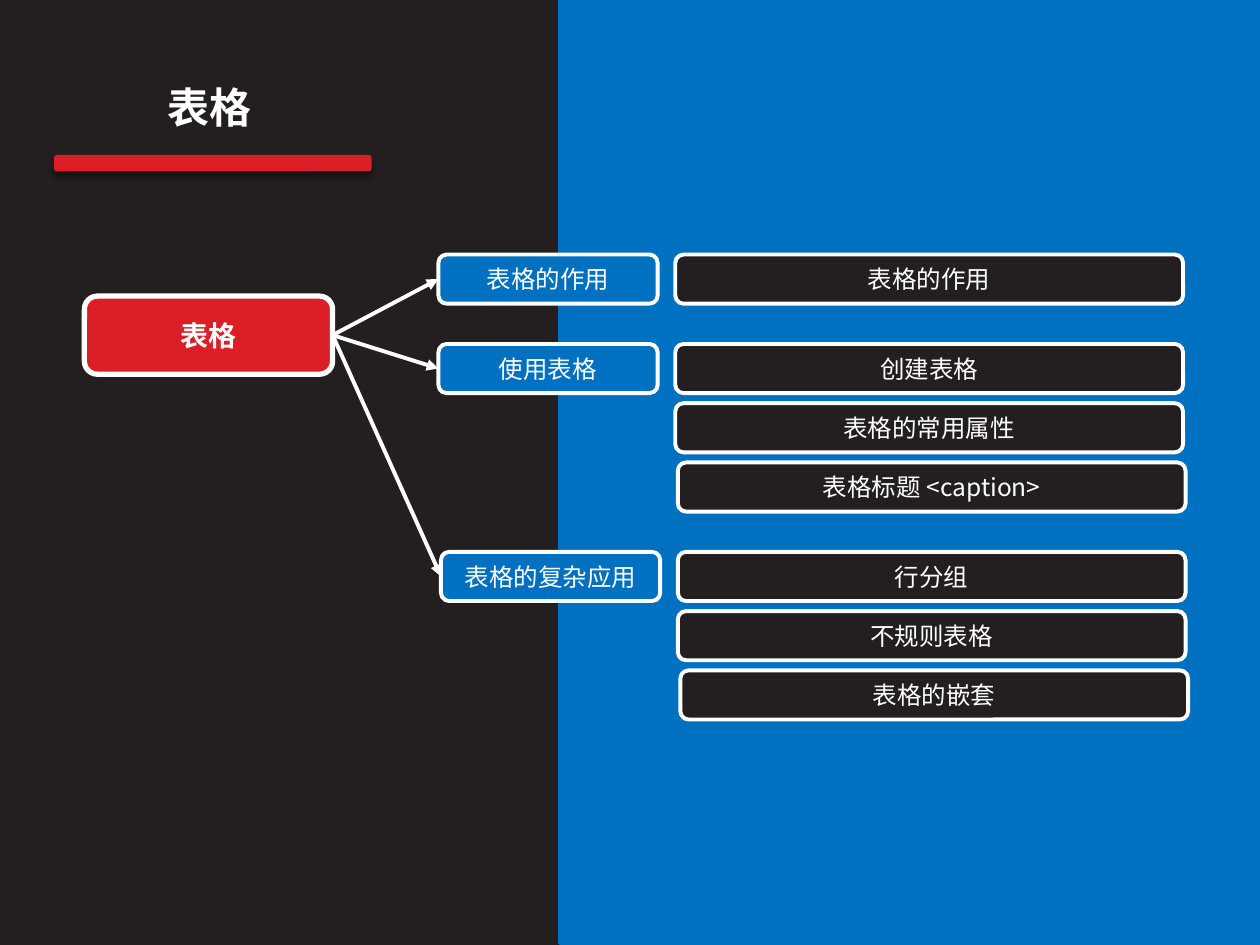
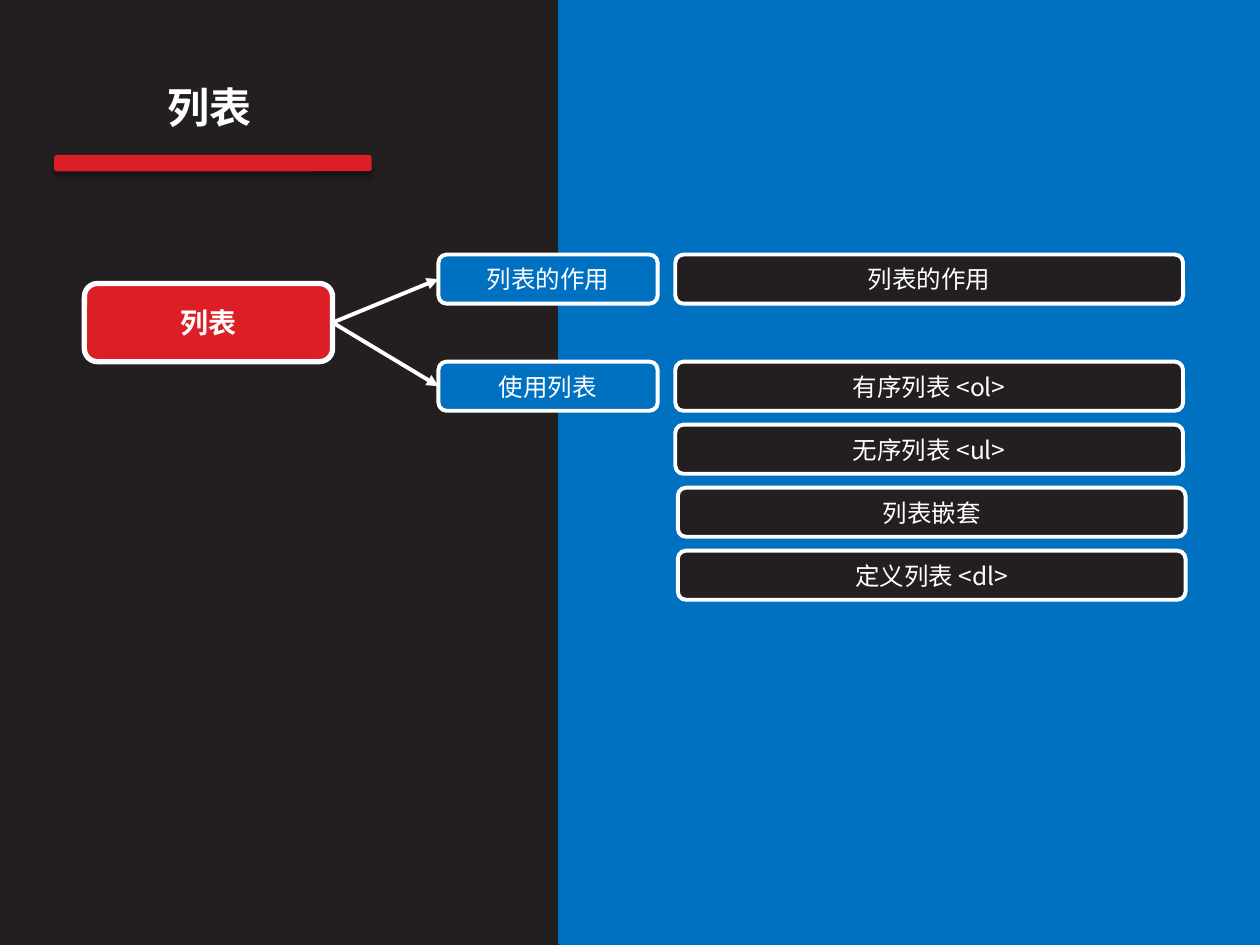
from dataclasses import dataclass

from lxml.etree import SubElement
from pptx import Presentation
from pptx.dml.color import RGBColor
from pptx.enum.shapes import MSO_CONNECTOR as Connector, MSO_SHAPE as Shape
from pptx.enum.text import MSO_ANCHOR as Anchor, MSO_AUTO_SIZE as AutoSize, PP_ALIGN as Align
from pptx.oxml.ns import qn
from pptx.util import Inches, Pt


@dataclass(frozen=True)
class Theme:
    dark: RGBColor = RGBColor.from_string("231F20")
    blue: RGBColor = RGBColor.from_string("0070C0")
    red: RGBColor = RGBColor.from_string("DC1F26")
    white: RGBColor = RGBColor.from_string("FFFFFF")
    font: str = "Noto Sans CJK SC"
    title_size: int = 24
    root_size: int = 16
    topic_size: int = 14
    heavy_line: float = 3
    thin_line: float = 2.25


THEME = Theme()
TITLE_ONLY = 5
LEFT_SITE, RIGHT_SITE = 1, 3
TOPIC_LEFT, TOPIC_WIDTH = 3.48, 1.74
DETAIL_LEFT, DETAIL_WIDTH = 5.36, 4.03
ROW_HEIGHT = 0.39
NUDGE = 0.02

CHAPTERS = [
    {
        "name": "表格",
        "root_top": 2.35,
        "pitch": 0.47,
        "topics": [
            ("表格的作用", 2.02, 0, ["表格的作用"]),
            ("使用表格", 2.73, 0, ["创建表格", "表格的常用属性", "表格标题 <caption>"]),
            ("表格的复杂应用", 4.38, NUDGE, ["行分组", "不规则表格", "表格的嵌套"]),
        ],
    },
    {
        "name": "列表",
        "root_top": 2.25,
        "pitch": 0.5,
        "topics": [
            ("列表的作用", 2.02, 0, ["列表的作用"]),
            ("使用列表", 2.87, 0,
             ["有序列表 <ol>", "无序列表 <ul>", "列表嵌套", "定义列表 <dl>"]),
        ],
    },
]


def write_text(frame, text, size, bold=False, anchor=Anchor.MIDDLE):
    frame.word_wrap = True
    frame.auto_size = AutoSize.NONE
    frame.vertical_anchor = anchor
    paragraph = frame.paragraphs[0]
    paragraph.alignment = Align.CENTER
    run = paragraph.add_run()
    run.text = text
    run.font.name = THEME.font
    run.font.size = Pt(size)
    run.font.bold = bold
    run.font.color.rgb = THEME.white
    SubElement(run.font._element, qn("a:ea"), typeface=THEME.font)


def add_block(slide, kind, bounds, fill, border=None, weight=0):
    block = slide.shapes.add_shape(kind, *map(Inches, bounds))
    block.shadow.inherit = False
    block.fill.solid()
    block.fill.fore_color.rgb = fill
    if border is None:
        block.line.fill.background()
    else:
        block.line.color.rgb = border
        block.line.width = Pt(weight)
    return block


def add_label(slide, bounds, text, fill, size=THEME.topic_size,
              weight=THEME.thin_line, bold=False):
    label = add_block(slide, Shape.ROUNDED_RECTANGLE, bounds, fill, THEME.white, weight)
    write_text(label.text_frame, text, size, bold)
    return label


def add_arrow(slide, source, target):
    arrow = slide.shapes.add_connector(Connector.STRAIGHT, 0, 0, 0, 0)
    arrow.begin_connect(source, RIGHT_SITE)
    arrow.end_connect(target, LEFT_SITE)
    arrow.line.color.rgb = THEME.white
    arrow.line.width = Pt(THEME.thin_line)
    SubElement(arrow.line._get_or_add_ln(), qn("a:tailEnd"), type="triangle")
    SubElement(arrow._element.spPr, qn("a:effectLst"))


def add_drop_shadow(block):
    effects = block._element.spPr.find(qn("a:effectLst"))
    shadow = SubElement(effects, qn("a:outerShdw"), blurRad=str(Pt(4)),
                        dist=str(Pt(3)), dir="5400000", rotWithShape="0")
    color = SubElement(shadow, qn("a:srgbClr"), val="000000")
    SubElement(color, qn("a:alpha"), val="43000")


def add_heading(slide, text):
    title = slide.shapes.title
    title.left, title.top, title.width, title.height = map(Inches, (0.28, 0.6, 2.77, 0.71))
    write_text(title.text_frame, text, THEME.title_size, bold=True, anchor=Anchor.TOP)
    underline = add_block(slide, Shape.ROUNDED_RECTANGLE, (0.43, 1.23, 2.52, 0.13), THEME.red)
    add_drop_shadow(underline)


def add_topic(slide, root, topic, pitch):
    name, top, shift, details = topic
    heading = add_label(slide, (TOPIC_LEFT + shift, top, TOPIC_WIDTH, ROW_HEIGHT),
                        name, THEME.blue)
    add_arrow(slide, root, heading)
    for row, detail in enumerate(details):
        left = DETAIL_LEFT + shift + (NUDGE if row > 1 else 0)
        add_label(slide, (left, top + row * pitch, DETAIL_WIDTH, ROW_HEIGHT),
                  detail, THEME.dark)


def add_chapter(deck, chapter):
    slide = deck.slides.add_slide(deck.slide_layouts[TITLE_ONLY])
    add_block(slide, Shape.RECTANGLE, (4.45, 0, 5.55, 7.48),
              THEME.blue, THEME.blue, THEME.heavy_line)
    add_heading(slide, chapter["name"])
    root = add_label(slide, (0.67, chapter["root_top"], 1.97, 0.62), chapter["name"],
                     THEME.red, THEME.root_size, THEME.heavy_line, bold=True)
    for topic in chapter["topics"]:
        add_topic(slide, root, topic, chapter["pitch"])


def main():
    deck = Presentation()
    deck.slide_width, deck.slide_height = Inches(10), Inches(7.5)
    backdrop = deck.slide_master.background.fill
    backdrop.solid()
    backdrop.fore_color.rgb = THEME.dark
    for chapter in CHAPTERS:
        add_chapter(deck, chapter)
    deck.save("out.pptx")


if __name__ == "__main__":
    main()
